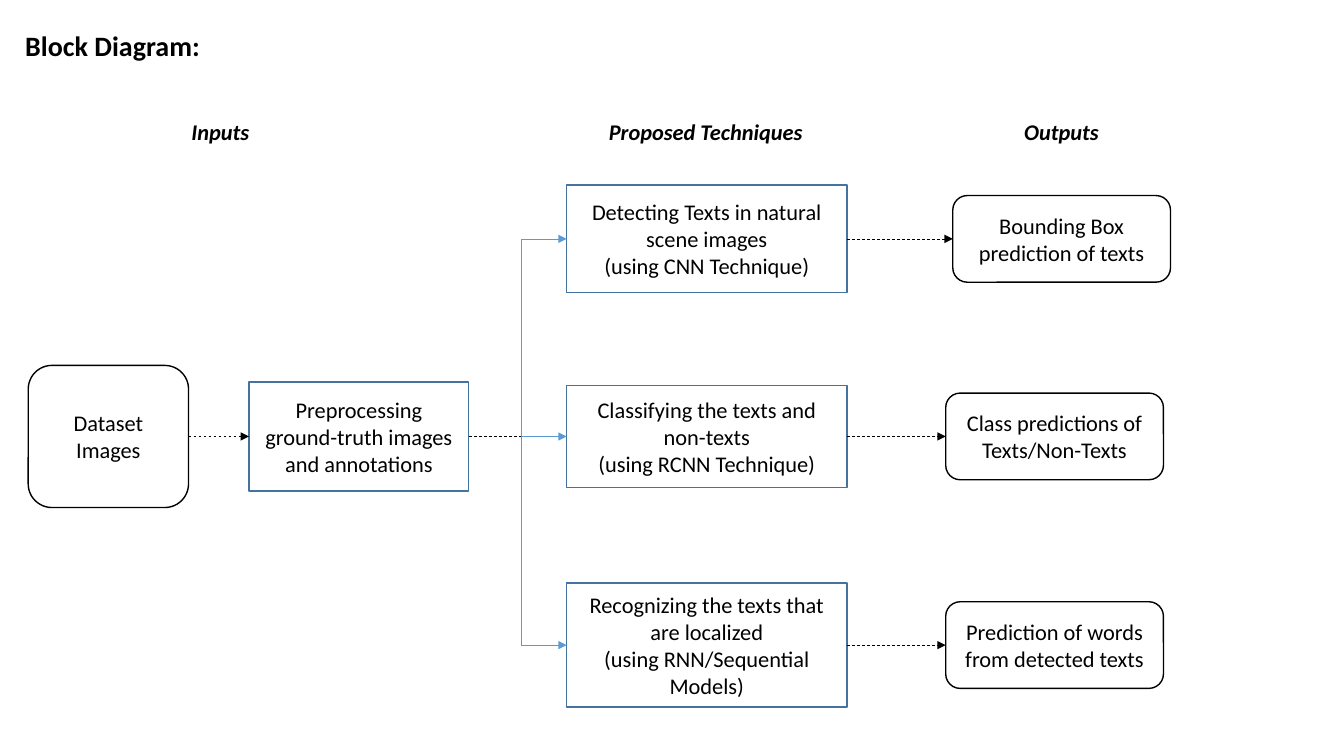
from pptx import Presentation
from pptx.dml.color import RGBColor
from pptx.enum.dml import MSO_LINE
from pptx.enum.shapes import MSO_CONNECTOR, MSO_SHAPE
from pptx.enum.text import MSO_ANCHOR, PP_ALIGN
from pptx.oxml.ns import qn
from pptx.util import Inches, Pt
from lxml.etree import SubElement

BLACK, EDGE, BLUE = "000000", "43739E", "5B9BD5"
FORK = 5.17
TECH_LEFT, TECH_WIDTH = 5.62, 2.78
ROWS = [
    (2.37, 1.07, "Detecting Texts in natural scene images\n(using CNN Technique)",
     9.45, "Bounding Box prediction of texts"),
    (4.33, 1.01, "Classifying the texts and non-texts\n(using RCNN Technique)",
     9.38, "Class predictions of Texts/Non-Texts"),
    (6.4, 1.23, "Recognizing the texts that are localized\n(using RNN/Sequential Models)",
     9.38, "Prediction of words from detected texts"),
]
HEADS = [(1.8, 0.78, "Inputs"), (5.94, 2.15, "Proposed Techniques"),
         (10.06, 0.95, "Outputs")]


def color(code):
    return RGBColor.from_string(code)


def write(shape, text, size=16, bold=False, italic=False,
          align=PP_ALIGN.CENTER, anchor=MSO_ANCHOR.MIDDLE, wrap=True):
    frame = shape.text_frame
    frame.text = text
    frame.word_wrap = wrap
    frame.vertical_anchor = anchor
    for para in frame.paragraphs:
        para.alignment = align
        font = para.runs[0].font
        font.name, font.size = "Calibri", Pt(size)
        font.bold, font.italic = bold, italic
        font.color.rgb = color(BLACK)


def place(shape, left, top, width, height):
    shape.left, shape.top = Inches(left), Inches(top)
    shape.width, shape.height = Inches(width), Inches(height)


def box(slide, left, mid, width, height, text, edge=EDGE, kind=MSO_SHAPE.RECTANGLE):
    shape = slide.shapes.add_shape(kind, Inches(left), Inches(mid - height / 2),
                                   Inches(width), Inches(height))
    shape.shadow.inherit = False
    shape.fill.background()
    shape.line.color.rgb = color(edge)
    shape.line.width = Pt(1)
    write(shape, text)


def pill(slide, left, mid, width, height, text):
    box(slide, left, mid, width, height, text, BLACK, MSO_SHAPE.ROUNDED_RECTANGLE)


def link(slide, start, end, tint=BLACK, dash=True, arrow=True):
    line = slide.shapes.add_connector(MSO_CONNECTOR.STRAIGHT,
                                      *map(Inches, start + end))
    line.line.color.rgb = color(tint)
    line.line.width = Pt(0.5)
    if dash:
        line.line.dash_style = MSO_LINE.DASH
    if arrow:
        SubElement(line.line._get_or_add_ln(), qn("a:tailEnd"), type="triangle")
    SubElement(line._element.spPr, qn("a:effectLst"))


def main():
    deck = Presentation()
    deck.slide_width, deck.slide_height = Inches(13.33), Inches(7.5)
    slide = deck.slides.add_slide(deck.slide_layouts[5])

    title = slide.shapes.title
    place(title, 0.15, 0.23, 8.4, 0.44)
    write(title, "Block Diagram:", size=20, bold=True,
          align=PP_ALIGN.LEFT, anchor=MSO_ANCHOR.TOP)
    for left, width, text in HEADS:
        head = slide.shapes.add_textbox(0, 0, 0, 0)
        place(head, left, 1.12, width, 0.37)
        write(head, text, bold=True, italic=True, align=PP_ALIGN.LEFT,
              anchor=MSO_ANCHOR.TOP, wrap=False)

    first, mid, last = [row[0] for row in ROWS]
    pill(slide, 0.28, mid, 1.59, 1.41, "Dataset Images")
    box(slide, 2.47, mid, 2.18, 1.08,
        "Preprocessing ground-truth images and annotations")
    link(slide, (1.87, mid), (2.47, mid))
    link(slide, (4.65, mid), (FORK, mid), arrow=False)
    link(slide, (FORK, first), (FORK, last), BLUE, dash=False, arrow=False)

    for row, height, task, left, result in ROWS:
        box(slide, TECH_LEFT, row, TECH_WIDTH, height, task)
        pill(slide, left, row, 2.16, 0.86, result)
        link(slide, (FORK, row), (TECH_LEFT, row), BLUE, dash=False)
        link(slide, (TECH_LEFT + TECH_WIDTH, row), (left, row))

    deck.save("out.pptx")


main()
